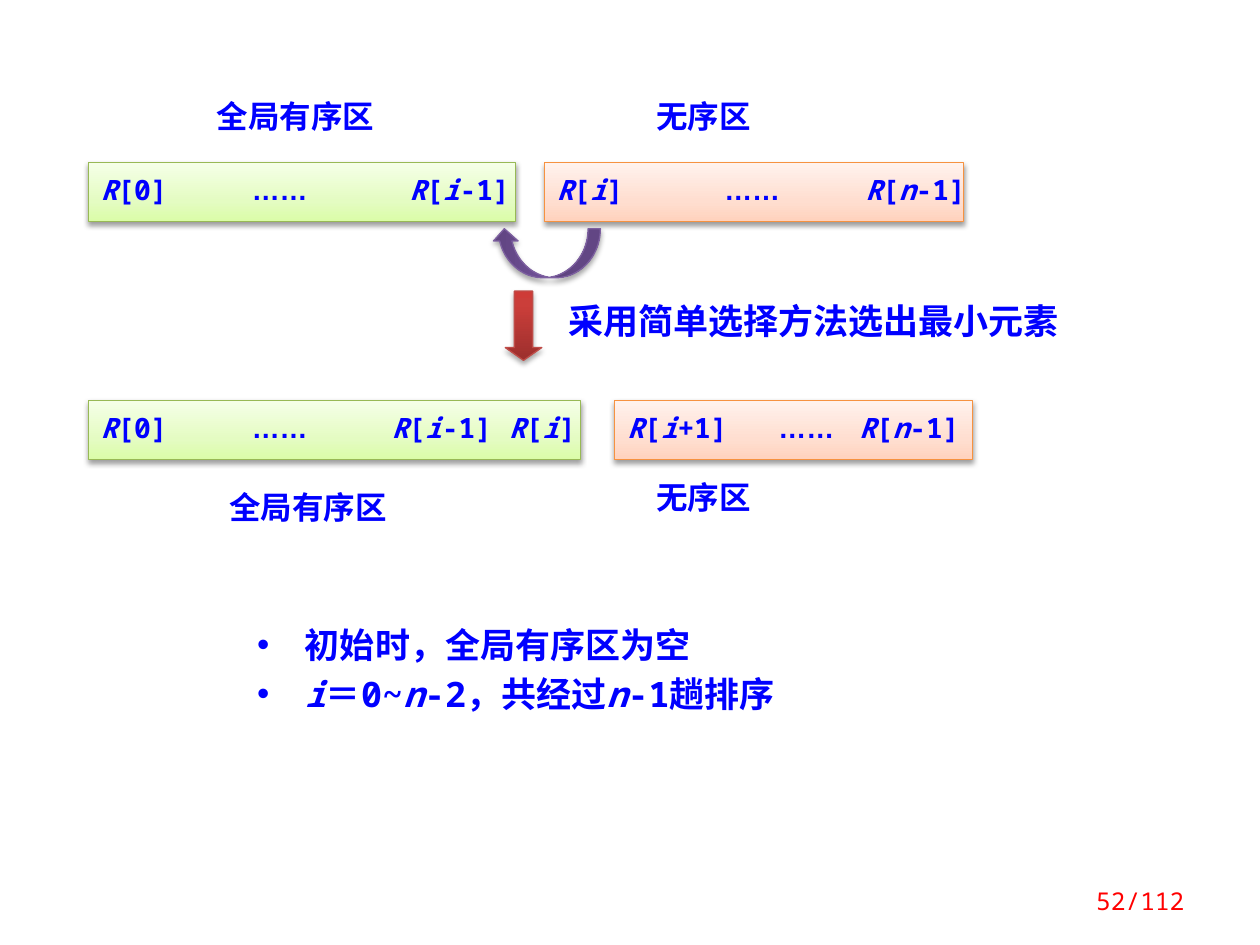
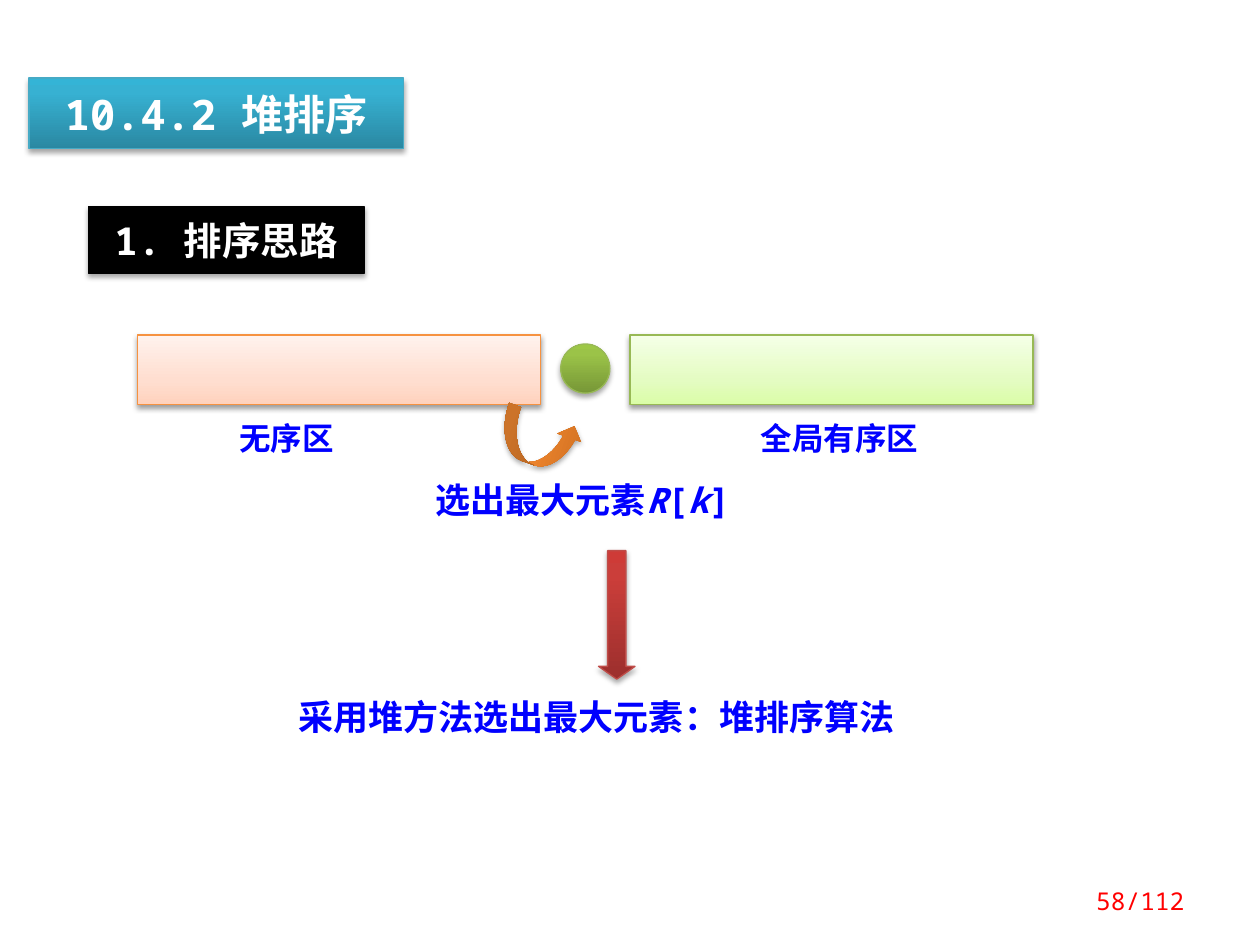
from dataclasses import dataclass

from lxml.etree import SubElement as Sub
from pptx import Presentation
from pptx.dml.color import RGBColor as Rgb
from pptx.enum.shapes import MSO_SHAPE as Kind
from pptx.enum.text import MSO_ANCHOR as Anchor, MSO_AUTO_SIZE as Auto, PP_ALIGN as Align
from pptx.oxml.ns import qn
from pptx.util import Inches, Pt

COLS, ROWS = 100, 75  # grid of a 10 by 7.5 inch slide
CELL = Inches(10) // COLS


@dataclass(frozen=True)
class Look:
    """Fill stops from bottom to top, line, and shadow strength."""
    stops: tuple
    line: str = ""
    dark: int = 35
    drop: float = 1.8


class Theme:
    mono, hans, dots = "Noto Sans Mono", "Noto Sans CJK SC", "Arial"
    blue, red, white = "0000FF", "FF0000", "FFFFFF"
    head, sub, note, label, code, foot = 24, 22, 20, 18, 16, 14
    done = Look(((0, "DAFDA7"), (35, "E4FCC2"), (100, "F5FFE7")), "98B955", 38, 1.6)
    rest = Look(((0, "FFD2BD"), (35, "FFDED0"), (100, "FFF2ED")), "F69240", 38, 1.6)
    down = Look(((0, "9C2F2D"), (80, "CB3E3A"), (100, "CE3B37")), "BF4C48")
    plum = Look(((0, "5F4480"), (80, "7B58A6"), (100, "7C57A8")), "7D60A0")
    gold = Look(((0, "CC6E20"), (80, "FF9034"), (100, "FF9136")))
    leaf = Look(((0, "779737"), (80, "9BC348"), (100, "9DC746")), "98B955")
    teal = Look(((0, "2A88A2"), (80, "37B1D2"), (100, "34B4D6")), "46AAC5")
    ink = Look(((0, "000000"),), "000000")
    plain = Look(((0, white),), dark=0)


@dataclass(frozen=True)
class Box:
    """Area in grid columns and rows."""
    x: float
    y: float
    w: float
    h: float

    def area(self, x, y, w, h):
        return Box(self.x + x, self.y + y, w, h)

    def emu(self):
        return [round(n * CELL) for n in (self.x, self.y, self.w, self.h)]


# Text and paint

def write(shape, *lines, size, color=Theme.blue, font=Theme.mono, bold=True,
          align=Align.LEFT, anchor=Anchor.TOP, lead=None, wrap=True,
          inset=(0.1, 0.05, 0.1, 0.05), bullet=None, tabs=()):
    """Fill a shape with lines; *stars* enclose italic text."""
    frame = shape.text_frame
    frame.auto_size, frame.word_wrap = Auto.NONE, wrap
    frame.vertical_anchor = anchor
    (frame.margin_left, frame.margin_top,
     frame.margin_right, frame.margin_bottom) = map(Inches, inset)
    for row, line in enumerate(lines):
        para = frame.add_paragraph() if row else frame.paragraphs[0]
        props = para._p.get_or_add_pPr()
        if bullet:
            props.set("marL", str(Inches(0.38)))
            props.set("indent", str(-Inches(0.38)))
            Sub(props, qn("a:buFont"), typeface=Theme.dots)
            Sub(props, qn("a:buChar"), char=bullet)
        if tabs:
            stops = Sub(props, qn("a:tabLst"))
            for stop in tabs:
                Sub(stops, qn("a:tab"), pos=str(round(stop * CELL)), algn="l")
        para.alignment = align
        if lead:
            para.line_spacing = lead
        for turn, text in enumerate(line.split("*")):
            if not text:
                continue
            run = para.add_run()
            run.text = text
            face = run.font
            face.size, face.bold, face.italic = Pt(size), bold, turn % 2 == 1
            face.color.rgb = Rgb.from_string(color)
            face.name = Theme.dots if "…" in text else font
            Sub(run._r.get_or_add_rPr(), qn("a:ea"), typeface=Theme.hans)


def paint(shape, look):
    fill = shape.fill
    if len(look.stops) == 1:
        fill.solid()
        fill.fore_color.rgb = Rgb.from_string(look.stops[0][1])
    else:
        fill.gradient()
        fill.gradient_angle = 90
        stops = shape._element.spPr.find(".//" + qn("a:gsLst"))
        for old in list(stops):
            stops.remove(old)
        for at, color in look.stops:
            stop = Sub(stops, qn("a:gs"), pos=str(at * 1000))
            Sub(stop, qn("a:srgbClr"), val=color)
    if look.line:
        shape.line.color.rgb = Rgb.from_string(look.line)
        shape.line.width = Pt(0.75)
    else:
        shape.line.fill.background()
    shape.shadow.inherit = False
    if look.dark:
        glow = Sub(shape._element.spPr.find(qn("a:effectLst")), qn("a:outerShdw"),
                   blurRad=str(Pt(3.1)), dist=str(Pt(look.drop)),
                   dir="5400000", rotWithShape="0")
        tint = Sub(glow, qn("a:srgbClr"), val="000000")
        Sub(tint, qn("a:alpha"), val=str(look.dark * 1000))


def draw(slide, kind, box, look, turn=0):
    shape = slide.shapes.add_shape(kind, *box.emu())
    paint(shape, look)
    shape.rotation = turn
    return shape


def label(slide, box, text, size=Theme.note, **style):
    write(slide.shapes.add_textbox(*box.emu()), text, size=size, **style)


# Regions

def zone(slide, box, look, name, spot, lead=None, text="", tabs=()):
    """A bar of the array and its name, set relative to the bar."""
    bar = draw(slide, Kind.RECTANGLE, box, look)
    if text:
        write(bar, text, size=Theme.code, anchor=Anchor.MIDDLE, lead=0.8,
              wrap=False, tabs=tabs)
    label(slide, box.area(*spot), name, Theme.label, lead=lead)


def fall(slide, box):
    arrow = draw(slide, Kind.DOWN_ARROW, box, Theme.down)
    arrow.adjustments[1] = 0.35


def banner(shape, text, size):
    write(shape, text, size=size, color=Theme.white, align=Align.CENTER,
          inset=(0.1, 0.08, 0.1, 0.08))


def footer(slide, page):
    label(slide, Box(82.8, 69.5, 12.2, 4), f"{page}/112", Theme.foot, bold=False,
          color=Theme.red, align=Align.RIGHT, anchor=Anchor.MIDDLE)


def rules(slide, box):
    write(draw(slide, Kind.RECTANGLE, box, Theme.plain),
          "初始时，全局有序区为空", "*i*＝0~*n*-2，共经过*n*-1趟排序",
          size=Theme.note, lead=Pt(28), bullet="•", inset=(0.24, 0.12, 0.1, 0.12))


# Slides

SORTED, LOOSE = "全局有序区", "无序区"


def pick(slide, box):
    """Simple selection: the array before and after one pass."""
    first, last = "*R*[0]\t**……\t*R*[*i*-1]", "\t**……\t*R*[*n*-1]"
    bars = [
        (0, 0, 33.9, Theme.done, SORTED, (9.2, -5.1, 16.9, 3.4), first, (12, 24.5)),
        (36.2, 0, 33.3, Theme.rest, LOOSE, (7.9, -5.1, 12.6, 3.4),
         "*R*[*i*]" + last, (13.3, 24.5)),
        (0, 18.9, 39.1, Theme.done, SORTED, (10.2, 7, 17.1, 3.4),
         first + " *R*[*i*]", (12, 23.1)),
        (41.8, 18.9, 28.4, Theme.rest, LOOSE, (2.3, 6.2, 12.6, 3.4),
         "*R*[*i*+1]" + last, (12, 18.4)),
    ]
    for x, y, wide, look, name, spot, text, tabs in bars:
        zone(slide, box.area(x, y, wide, 4.7), look, name, spot, 0.8, text, tabs)
    fall(slide, box.area(33.1, 10.2, 2.9, 5.5))
    label(slide, box.area(37.1, 10.4, 41.9, 4.4), "采用简单选择方法选出最小元素",
          font=Theme.hans)
    rules(slide, box.area(11, 34.8, 46.9, 10.2))
    draw(slide, Kind.CURVED_LEFT_ARROW, box.area(34.4, 2.9, 3.9, 8.6), Theme.plum, 90)


def heap(slide, box):
    """Heap sort: the largest element moves to the sorted zone."""
    zone(slide, box.area(39.1, 0, 32, 5.5), Theme.done, SORTED, (9.4, 6.2, 16.4, 4))
    zone(slide, box.area(0, 0, 32, 5.5), Theme.rest, LOOSE, (7.1, 6.2, 16.4, 4))
    hook = draw(slide, Kind.CURVED_LEFT_ARROW, box.area(29.9, 5.1, 4, 6.5),
                Theme.gold, 109.7)
    hook._element.spPr.find(qn("a:xfrm")).set("flipV", "1")
    label(slide, box.area(22.7, 10.9, 25.8, 4.4), "选出最大元素*R*[*k*]")
    draw(slide, Kind.OVAL, box.area(33.6, 0.7, 3.9, 3.9), Theme.leaf)
    fall(slide, box.area(36.6, 17.1, 2.9, 10.2))
    label(slide, box.area(11.8, 28.1, 53.1, 4.4), "采用堆方法选出最大元素：堆排序算法")


def main():
    deck = Presentation()
    deck.slide_width, deck.slide_height = COLS * CELL, ROWS * CELL
    title_only, blank = deck.slide_layouts[5], deck.slide_layouts[6]

    slide = deck.slides.add_slide(blank)
    pick(slide, Box(7, 12.9, 79, 45))
    footer(slide, 52)

    slide = deck.slides.add_slide(title_only)
    title = slide.shapes.title
    title.left, title.top, title.width, title.height = Box(2.3, 6.2, 29.7, 5.6).emu()
    paint(title, Theme.teal)
    banner(title, "10.4.2 堆排序", Theme.head)
    step = draw(slide, Kind.RECTANGLE, Box(7, 16.4, 21.9, 5.3), Theme.ink)
    banner(step, "1. 排序思路", Theme.sub)
    heap(slide, Box(10.9, 26.6, 71.1, 32.5))
    footer(slide, 58)
    deck.save("out.pptx")


if __name__ == "__main__":
    main()
